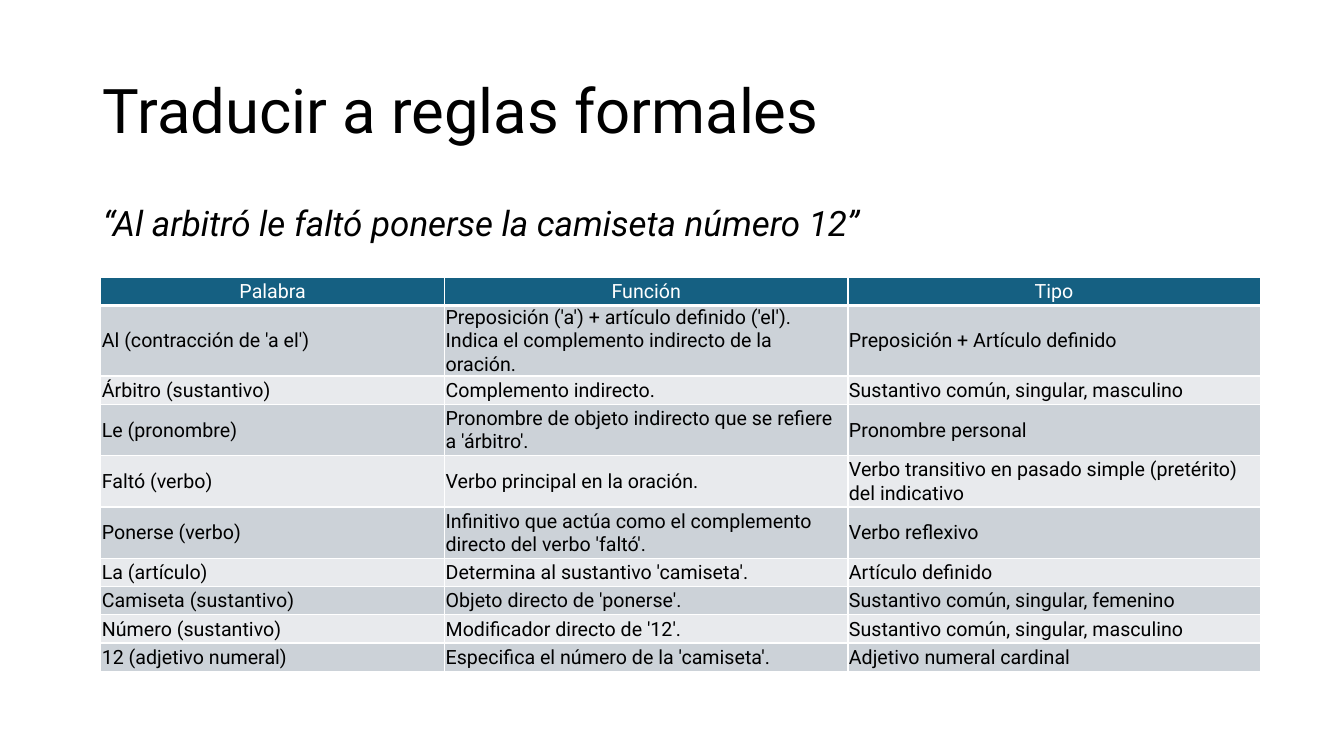
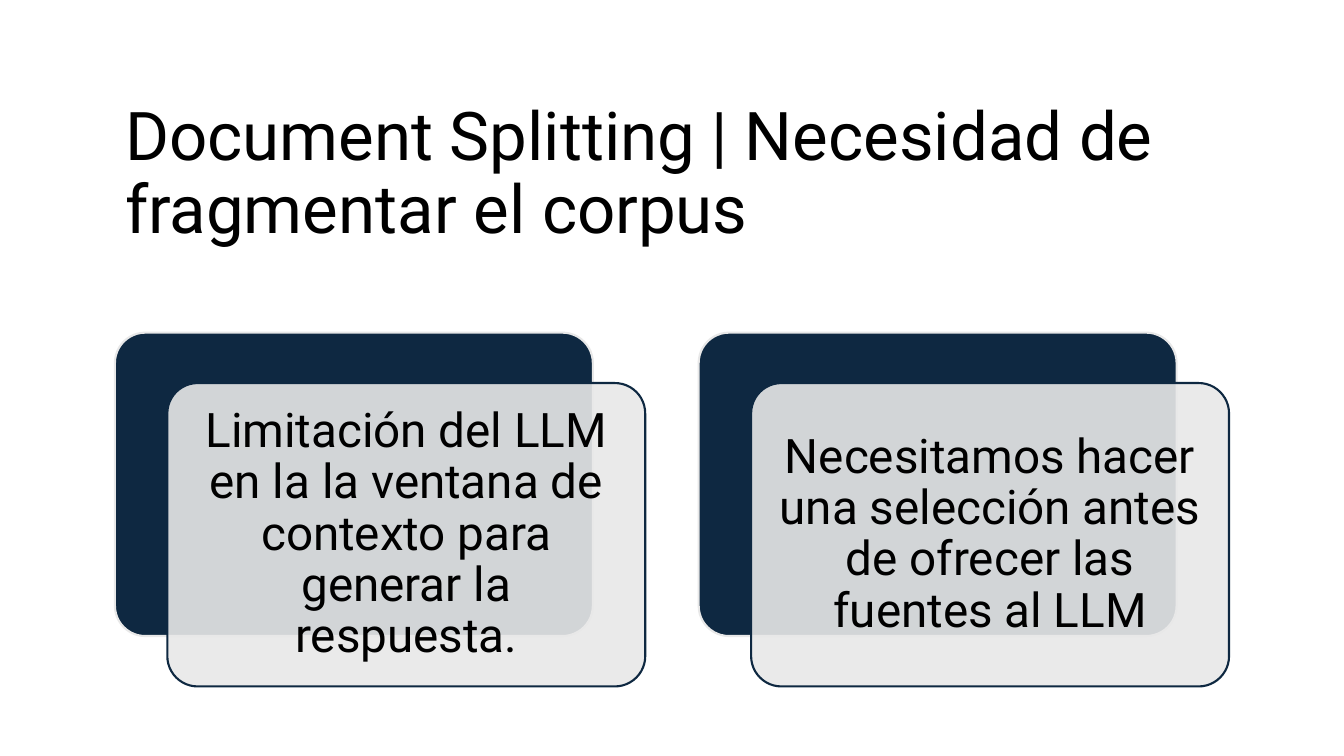
from dataclasses import dataclass

from lxml.etree import SubElement
from pptx import Presentation
from pptx.dml.color import RGBColor
from pptx.enum.shapes import MSO_SHAPE
from pptx.enum.text import MSO_ANCHOR, MSO_AUTO_SIZE, PP_ALIGN
from pptx.oxml.ns import qn
from pptx.presentation import Presentation as Deck
from pptx.slide import Slide
from pptx.table import _Cell as Cell
from pptx.text.text import TextFrame
from pptx.util import Inches, Pt


@dataclass(frozen=True)
class Theme:
    font: str = "Roboto"
    ink: str = "000000"
    white: str = "FFFFFF"
    header: str = "156082"
    odd_row: str = "CCD2D8"
    even_row: str = "E8EAED"
    navy: str = "0E2841"
    pale: str = "E8E8E8"
    title_size: float = 44
    long_title_size: float = 48
    quote_size: float = 25
    table_size: float = 14
    card_size: float = 34


@dataclass(frozen=True)
class Box:
    left: float
    top: float
    width: float
    height: float

    def shifted(self, dx: float, dy: float) -> "Box":
        return Box(self.left + dx, self.top + dy, self.width, self.height)

    def lengths(self) -> tuple[int, int, int, int]:
        return (Inches(self.left), Inches(self.top),
                Inches(self.width), Inches(self.height))


@dataclass(frozen=True)
class WordRow:
    word: str
    function: str
    kind: str
    height: float = 0.28

    def texts(self) -> tuple[str, str, str]:
        return self.word, self.function, self.kind


THEME = Theme()
TITLE_AND_BODY, TITLE_ONLY = 1, 5

TWO_LINES = 0.51
COLUMN_WIDTHS = (3.41, 4, 4.09)
WORD_ROWS = (
    WordRow("Palabra", "Función", "Tipo"),
    WordRow("Al (contracción de 'a el')",
            "Preposición ('a') + artículo definido ('el'). "
            "Indica el complemento indirecto de la oración.",
            "Preposición + Artículo definido", TWO_LINES),
    WordRow("Árbitro (sustantivo)", "Complemento indirecto.",
            "Sustantivo común, singular, masculino"),
    WordRow("Le (pronombre)",
            "Pronombre de objeto indirecto que se refiere a 'árbitro'.",
            "Pronombre personal", TWO_LINES),
    WordRow("Faltó (verbo)", "Verbo principal en la oración.",
            "Verbo transitivo en pasado simple (pretérito) del indicativo",
            TWO_LINES),
    WordRow("Ponerse (verbo)",
            "Infinitivo que actúa como el complemento directo del verbo 'faltó'.",
            "Verbo reflexivo", TWO_LINES),
    WordRow("La (artículo)", "Determina al sustantivo 'camiseta'.",
            "Artículo definido"),
    WordRow("Camiseta (sustantivo)", "Objeto directo de 'ponerse'.",
            "Sustantivo común, singular, femenino"),
    WordRow("Número (sustantivo)", "Modificador directo de '12'.",
            "Sustantivo común, singular, masculino"),
    WordRow("12 (adjetivo numeral)", "Especifica el número de la 'camiseta'.",
            "Adjetivo numeral cardinal"),
)

FIRST_CARD = Box(1.14, 3.3, 4.74, 3.01)
CARD_PITCH = 5.79
FRONT_SHIFT = (0.52, 0.5)
REASONS = (
    "Limitación del LLM en la la ventana de contexto para generar la respuesta.",
    "Necesitamos hacer una selección antes de ofrecer las fuentes al LLM",
)


def rgb(color: str) -> RGBColor:
    return RGBColor.from_string(color)


def write(frame: TextFrame, text: str, *, size: float, color: str = THEME.ink,
          italic: bool = False, align: PP_ALIGN = PP_ALIGN.LEFT,
          anchor: MSO_ANCHOR = MSO_ANCHOR.MIDDLE, line_spacing: float = 0.9,
          space_before: float = 0) -> None:
    frame.word_wrap = True
    frame.vertical_anchor = anchor
    paragraph = frame.paragraphs[0]
    paragraph.alignment = align
    paragraph.line_spacing = line_spacing
    paragraph.space_before = Pt(space_before)
    run = paragraph.add_run()
    run.text = text
    run.font.name = THEME.font
    run.font.size = Pt(size)
    run.font.bold = False
    run.font.italic = italic
    run.font.color.rgb = rgb(color)


def fill_placeholder(slide: Slide, index: int, box: Box, text: str,
                     **text_format) -> TextFrame:
    holder = slide.placeholders[index]
    holder.left, holder.top, holder.width, holder.height = box.lengths()
    holder.text_frame.auto_size = MSO_AUTO_SIZE.NONE
    write(holder.text_frame, text, **text_format)
    return holder.text_frame


def remove_bullet(frame: TextFrame) -> None:
    properties = frame.paragraphs[0]._p.get_or_add_pPr()
    properties.set("marL", "0")
    properties.set("indent", "0")
    SubElement(properties, qn("a:buNone"))


def add_cell_borders(cell: Cell, color: str, bottom_width: float) -> None:
    properties = cell._tc.get_or_add_tcPr()
    for side, width in (("L", 1), ("R", 1), ("T", 1), ("B", bottom_width)):
        line = SubElement(properties, qn(f"a:ln{side}"), w=str(Pt(width)))
        SubElement(SubElement(line, qn("a:solidFill")), qn("a:srgbClr"), val=color)


def add_word_table(slide: Slide, left: float, top: float) -> None:
    box = Box(left, top, sum(COLUMN_WIDTHS), sum(row.height for row in WORD_ROWS))
    table = slide.shapes.add_table(
        len(WORD_ROWS), len(COLUMN_WIDTHS), *box.lengths()).table
    for column, width in zip(table.columns, COLUMN_WIDTHS):
        column.width = Inches(width)
    for index, word_row in enumerate(WORD_ROWS):
        table.rows[index].height = Inches(word_row.height)
        is_header = index == 0
        band = THEME.odd_row if index % 2 else THEME.even_row
        for cell, text in zip(table.rows[index].cells, word_row.texts()):
            cell.margin_left = cell.margin_right = cell.margin_top = Inches(0.01)
            cell.margin_bottom = 0
            cell.vertical_anchor = MSO_ANCHOR.MIDDLE
            add_cell_borders(cell, THEME.white, 3 if is_header else 1)
            cell.fill.solid()
            cell.fill.fore_color.rgb = rgb(THEME.header if is_header else band)
            write(cell.text_frame, text, size=THEME.table_size, line_spacing=1.0,
                  color=THEME.white if is_header else THEME.ink,
                  align=PP_ALIGN.CENTER if is_header else PP_ALIGN.LEFT)


def add_panel(slide: Slide, box: Box, fill: str, line: str,
              opacity: int = 100) -> TextFrame:
    """Draw one rounded panel and return its text frame."""
    panel = slide.shapes.add_shape(MSO_SHAPE.ROUNDED_RECTANGLE, *box.lengths())
    panel.adjustments[0] = 0.1
    panel.shadow.inherit = False
    panel.fill.solid()
    panel.fill.fore_color.rgb = rgb(fill)
    if opacity < 100:
        fill_color = panel._element.spPr.find(qn("a:solidFill"))[0]
        SubElement(fill_color, qn("a:alpha"), val=str(opacity * 1000))
    panel.line.color.rgb = rgb(line)
    panel.line.width = Pt(1.5)
    return panel.text_frame


def add_reason_card(slide: Slide, back: Box, reason: str) -> None:
    add_panel(slide, back, THEME.navy, THEME.pale)
    frame = add_panel(slide, back.shifted(*FRONT_SHIFT), THEME.pale, THEME.navy,
                      opacity=90)
    frame.margin_left = frame.margin_right = Inches(0.14)
    frame.margin_top = frame.margin_bottom = Inches(0.14)
    write(frame, reason, size=THEME.card_size, align=PP_ALIGN.CENTER)


def build_rules_slide(deck: Deck) -> None:
    slide = deck.slides.add_slide(deck.slide_layouts[TITLE_AND_BODY])
    fill_placeholder(slide, 0, Box(0.92, 0.4, 11.5, 1.45),
                     "Traducir a reglas formales", size=THEME.title_size)
    quote = fill_placeholder(
        slide, 1, Box(0.92, 2, 11.5, 4.76),
        "“Al arbitró le faltó ponerse la camiseta número 12”",
        size=THEME.quote_size, italic=True, anchor=MSO_ANCHOR.TOP, space_before=10)
    remove_bullet(quote)
    add_word_table(slide, 1, 2.75)


def build_splitting_slide(deck: Deck) -> None:
    slide = deck.slides.add_slide(deck.slide_layouts[TITLE_ONLY])
    fill_placeholder(slide, 0, Box(1.14, 0.89, 11.13, 1.7),
                     "Document Splitting | Necesidad de fragmentar el corpus",
                     size=THEME.long_title_size)
    for index, reason in enumerate(REASONS):
        add_reason_card(slide, FIRST_CARD.shifted(index * CARD_PITCH, 0), reason)


def main() -> None:
    deck = Presentation()
    deck.slide_width, deck.slide_height = Inches(13.33), Inches(7.5)
    build_rules_slide(deck)
    build_splitting_slide(deck)
    deck.save("out.pptx")


if __name__ == "__main__":
    main()
